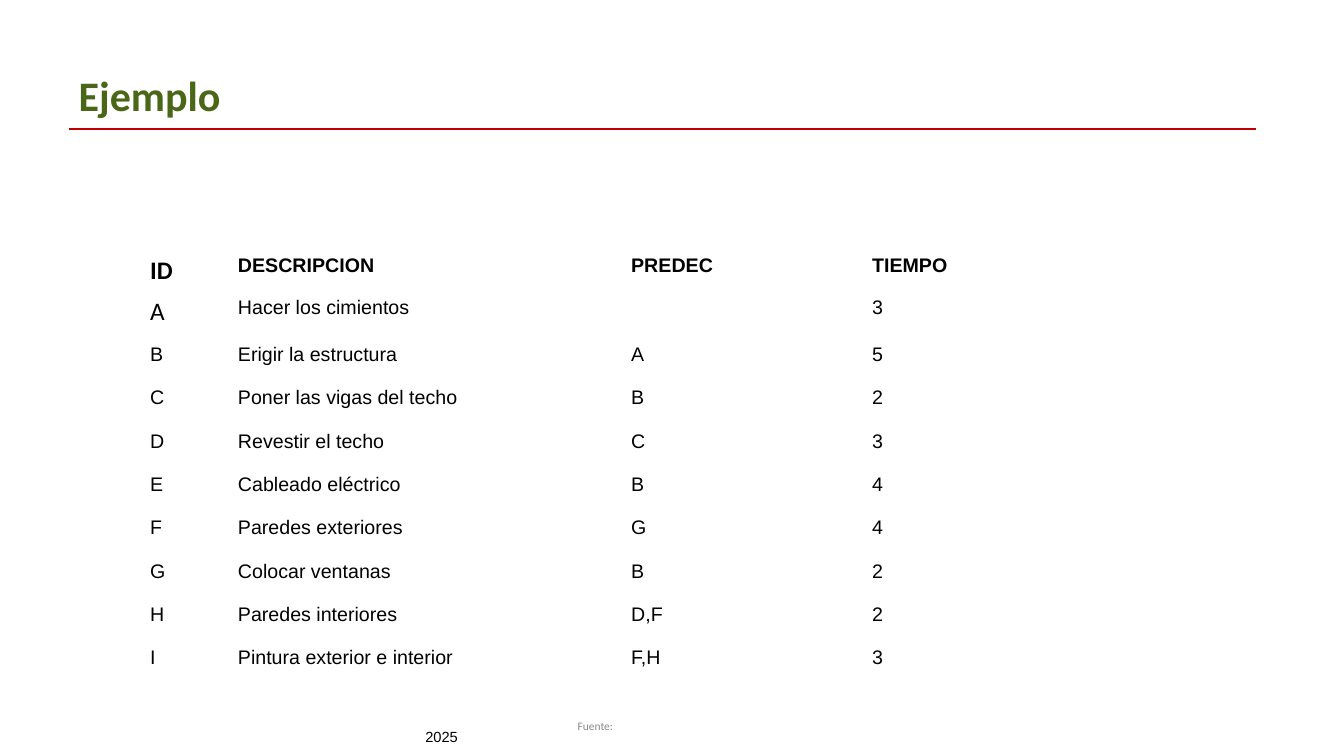
from pptx import Presentation
from pptx.dml.color import RGBColor
from pptx.enum.shapes import MSO_CONNECTOR
from pptx.enum.text import MSO_ANCHOR, MSO_AUTO_SIZE, PP_ALIGN
from pptx.oxml.ns import qn
from pptx.util import Inches, Pt
from lxml.etree import SubElement

COLORS = {"title": "4A6617", "rule": "C00000", "text": "000000", "source": "888888"}

ACTIVITIES = [
    ("ID", "DESCRIPCION", "PREDEC", "TIEMPO"),
    ("A", "Hacer los cimientos", "", "3"),
    ("B", "Erigir la estructura", "A", "5"),
    ("C", "Poner las vigas del techo", "B", "2"),
    ("D", "Revestir el techo", "C", "3"),
    ("E", "Cableado eléctrico", "B", "4"),
    ("F", "Paredes exteriores", "G", "4"),
    ("G", "Colocar ventanas", "B", "2"),
    ("H", "Paredes interiores", "D,F", "2"),
    ("I", "Pintura exterior e interior", "F,H", "3"),
]
COLUMN_WIDTHS = [0.87, 3.9, 2.39, 2.39]
ROW_HEIGHTS = [0.41, 0.47] + [0.43] * 8


def write(frame, text, size=14, font="Arial", color="text", bold=False, spacing=1.0):
    paragraph = frame.paragraphs[0]
    paragraph.alignment = PP_ALIGN.LEFT
    paragraph.line_spacing = spacing
    run = paragraph.add_run()
    run.text = text
    run.font.size = Pt(size)
    run.font.name = font
    run.font.bold = bold
    run.font.color.rgb = RGBColor.from_string(COLORS[color])


class ActivitySlide:
    def __init__(self, presentation):
        self.slide = presentation.slides.add_slide(presentation.slide_layouts[5])

    def title(self, text, left, top, width, height):
        heading = self.slide.shapes.title
        heading.left, heading.top = Inches(left), Inches(top)
        heading.width, heading.height = Inches(width), Inches(height)
        frame = heading.text_frame
        frame.auto_size = MSO_AUTO_SIZE.NONE
        frame.vertical_anchor = MSO_ANCHOR.MIDDLE
        write(frame, text, size=30, font="Calibri", color="title", bold=True, spacing=0.85)

    def rule(self, left, right, y):
        line = self.slide.shapes.add_connector(
            MSO_CONNECTOR.STRAIGHT, Inches(left), Inches(y), Inches(right), Inches(y))
        line.line.width = Pt(0.75)
        line.line.color.rgb = RGBColor.from_string(COLORS["rule"])
        SubElement(line.element.spPr, qn("a:effectLst"))

    def label(self, text, left, top, width, height, inset=(0.1, 0.05), **style):
        frame = self.slide.shapes.add_textbox(
            Inches(left), Inches(top), Inches(width), Inches(height)).text_frame
        frame.word_wrap = True
        frame.auto_size = MSO_AUTO_SIZE.SHAPE_TO_FIT_TEXT
        frame.margin_left = frame.margin_right = Inches(inset[0])
        frame.margin_top = frame.margin_bottom = Inches(inset[1])
        write(frame, text, **style)

    def table(self, rows, left, top, widths, heights):
        grid = self.slide.shapes.add_table(
            len(rows), len(widths), Inches(left), Inches(top),
            Inches(sum(widths)), Inches(sum(heights))).table
        grid.first_row = grid.horz_banding = False
        for column, width in zip(grid.columns, widths):
            column.width = Inches(width)
        for r, (row, height) in enumerate(zip(rows, heights)):
            grid.rows[r].height = Inches(height)
            for c, text in enumerate(row):
                cell = grid.cell(r, c)
                cell.fill.background()
                large = c == 0 and r < 2
                if text:
                    write(cell.text_frame, text, size=18 if large else 14,
                          font="Calibri" if large else "Arial", bold=r == 0)


def main():
    presentation = Presentation()
    presentation.slide_width, presentation.slide_height = Inches(13.33), Inches(7.5)
    example = ActivitySlide(presentation)
    example.rule(0.68, 12.46, 1.28)
    example.label("2025", 4.12, 7.17, 0.9, 0.28, size=10.5)
    example.label("Fuente:", 5.66, 7.09, 0.72, 0.21, inset=(0.07, 0.04),
                  size=8.2, font="Calibri", color="source")
    example.title("Ejemplo", 0.68, 0.36, 11.25, 1.24)
    example.table(ACTIVITIES, 1.39, 2.48, COLUMN_WIDTHS, ROW_HEIGHTS)
    presentation.save("out.pptx")


if __name__ == "__main__":
    main()
